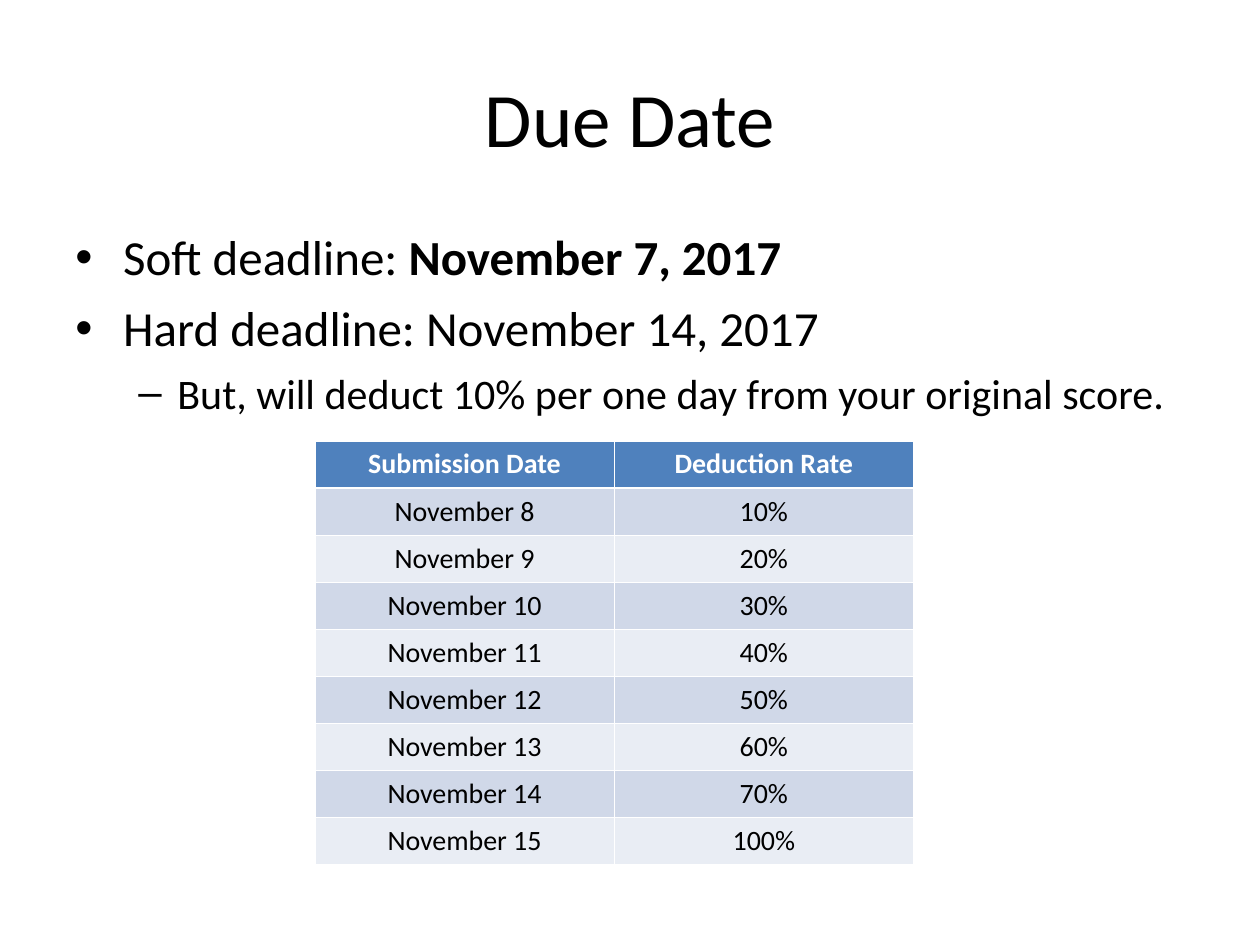
from lxml import etree
from pptx import Presentation
from pptx.dml.color import RGBColor
from pptx.enum.text import MSO_ANCHOR, PP_ALIGN
from pptx.oxml.ns import qn
from pptx.util import Inches, Pt

BLACK = RGBColor(0x00, 0x00, 0x00)
WHITE = RGBColor(0xFF, 0xFF, 0xFF)
HEADER_BLUE = RGBColor(0x4F, 0x81, 0xBD)
BAND_DARK = RGBColor(0xD0, 0xD8, 0xE8)
BAND_LIGHT = RGBColor(0xE9, 0xED, 0xF4)

THIN, THICK = Pt(0.45), Pt(1.47)

# Each line: its runs as (text, bold), then its list level.
DEADLINES = [
    ([("Soft deadline: ", False), ("November 7, 2017", True)], 0),
    ([("Hard deadline: November 14, 2017", False)], 0),
    ([("But, will deduct 10% per one day from your original score.", False)], 1),
]
# Per level: bullet, text indent, hanging indent, size, space before.
LEVELS = [
    ("•", Inches(0.38), Inches(-0.38), 28, 7),
    ("–", Inches(0.81), Inches(-0.31), 24, 6),
]
RATES = ["10%", "20%", "30%", "40%", "50%", "60%", "70%", "100%"]
DEDUCTIONS = [("Submission Date", "Deduction Rate")] + [
    (f"November {day}", rate) for day, rate in enumerate(RATES, start=8)
]


def add_span(para, text, size, color=BLACK, bold=False, align=None):
    para.alignment = align
    span = para.add_run()
    span.text = text
    span.font.name = "Calibri"
    span.font.size = Pt(size)
    span.font.bold = bold
    span.font.color.rgb = color


def add_frame(page, box, anchor=MSO_ANCHOR.TOP):
    frame = page.shapes.add_textbox(*box).text_frame
    frame.word_wrap = True
    frame.vertical_anchor = anchor
    return frame


def set_bullet(para, bullet, indent, hanging):
    properties = para._p.get_or_add_pPr()
    properties.set("marL", str(indent))
    properties.set("indent", str(hanging))
    font = etree.SubElement(properties, qn("a:buFont"))
    font.set("typeface", "Arial")
    etree.SubElement(properties, qn("a:buChar")).set("char", bullet)


def set_borders(cell, top, bottom):
    """Draw white borders; must run before the cell is filled."""
    properties = cell._tc.get_or_add_tcPr()
    for side, width in (("L", THIN), ("R", THIN), ("T", top), ("B", bottom)):
        line = etree.SubElement(properties, qn(f"a:ln{side}"))
        line.set("w", str(width))
        fill = etree.SubElement(line, qn("a:solidFill"))
        etree.SubElement(fill, qn("a:srgbClr")).set("val", str(WHITE))


def add_title(page, box):
    frame = add_frame(page, box, MSO_ANCHOR.MIDDLE)
    add_span(frame.paragraphs[0], "Due Date", 44, align=PP_ALIGN.CENTER)


def add_deadlines(page, box):
    frame = add_frame(page, box)
    for index, (spans, level) in enumerate(DEADLINES):
        para = frame.add_paragraph() if index else frame.paragraphs[0]
        bullet, indent, hanging, size, space = LEVELS[level]
        para.level = level
        para.space_before = Pt(space)
        set_bullet(para, bullet, indent, hanging)
        for text, bold in spans:
            add_span(para, text, size, bold=bold)


def add_deduction_table(page, box):
    table = page.shapes.add_table(len(DEDUCTIONS), 2, *box).table
    for row, values in enumerate(DEDUCTIONS):
        header = row == 0
        band = BAND_DARK if row % 2 else BAND_LIGHT
        for column, text in enumerate(values):
            cell = table.cell(row, column)
            set_borders(cell, top=THICK if row == 1 else THIN,
                        bottom=THICK if header else THIN)
            cell.fill.solid()
            cell.fill.fore_color.rgb = HEADER_BLUE if header else band
            add_span(cell.text_frame.paragraphs[0], text, 16,
                     color=WHITE if header else BLACK, bold=header,
                     align=PP_ALIGN.CENTER)


def main():
    deck = Presentation()
    deck.slide_width, deck.slide_height = Inches(10), Inches(7.5)
    page = deck.slides.add_slide(deck.slide_layouts[6])
    add_title(page, (Inches(0.5), Inches(0.3), Inches(9), Inches(1.25)))
    add_deadlines(page, (Inches(0.5), Inches(1.75), Inches(9), Inches(4.95)))
    add_deduction_table(
        page, (Inches(2.5), Inches(3.5), Inches(4.75), Inches(3.36)))
    deck.save("out.pptx")


if __name__ == "__main__":
    main()
